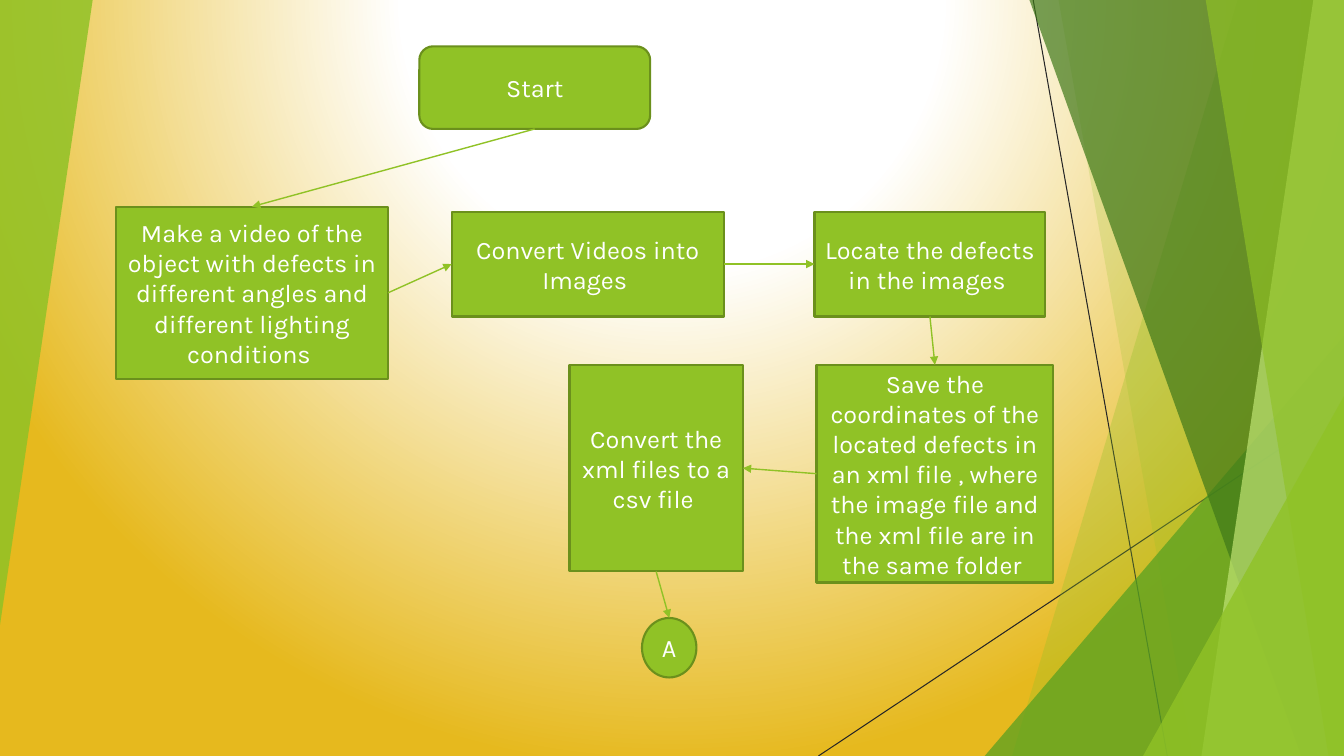
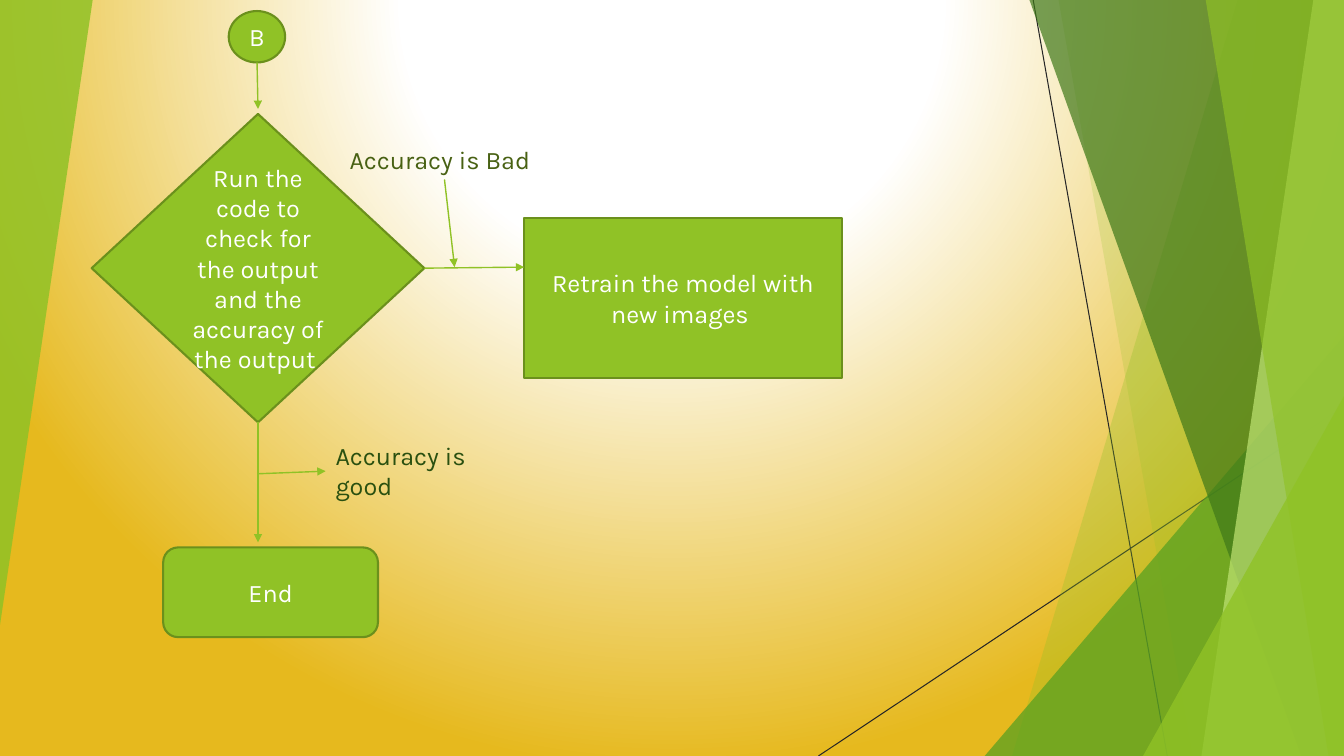
from typing import NamedTuple, Optional, Union

from lxml.etree import SubElement
from pptx import Presentation
from pptx.dml.color import RGBColor
from pptx.enum.shapes import MSO_CONNECTOR, MSO_SHAPE as Preset
from pptx.enum.text import MSO_ANCHOR, MSO_AUTO_SIZE, PP_ALIGN
from pptx.oxml import parse_xml
from pptx.oxml.ns import nsdecls, qn
from pptx.util import Pt

GREEN = RGBColor(0x90, 0xC2, 0x26)
OLIVE = RGBColor(0x6B, 0x90, 0x1C)
LEAF = RGBColor(0x54, 0xA0, 0x21)
FOREST = RGBColor(0x3F, 0x78, 0x19)
LIME = RGBColor(0xC0, 0xE4, 0x74)
INK = RGBColor(0x26, 0x26, 0x26)
GOLD = RGBColor(0xE6, 0xB9, 0x1E)
WHITE = RGBColor(0xFF, 0xFF, 0xFF)
GOOD_TEXT = RGBColor(0x2A, 0x50, 0x10)
BAD_TEXT = RGBColor(0x48, 0x61, 0x13)

FONT = "Karla"
WIDTH, HEIGHT = 960, 540
BLEED = 0.7
TOP, LEFT, BOTTOM, RIGHT = range(4)


class Band(NamedTuple):
    top_x: float
    bottom_x: float
    color: RGBColor
    opacity: int


class Wedge(NamedTuple):
    left: float
    top: float
    width: float
    height: float
    color: RGBColor
    opacity: int
    rotation: float = 0


class Point(NamedTuple):
    x: float
    y: float


class Joint(NamedTuple):
    step: str
    side: int


class Arrow(NamedTuple):
    start: Union[Point, Joint]
    end: Union[Point, Joint]


class Step(NamedTuple):
    key: str
    outline: Optional[Preset]
    left: float
    top: float
    width: float
    height: float
    text: str
    color: RGBColor = WHITE


class Flow(NamedTuple):
    steps: list
    arrows: list


RAYS = [
    (Point(738, 0), Point(833.8, HEIGHT)),
    (Point(WIDTH, 290.2), Point(584.6, HEIGHT)),
]
FACETS = [
    Band(884.2, 722.9, GREEN, 30),
    Band(756, 851.8, GREEN, 20),
    Wedge(703.4, 239.8, 256.6, 300.2, LEAF, 72),
    Band(735.1, 929.5, FOREST, 70),
    Band(938.2, 858.2, LIME, 70),
    Band(861.1, 949, GREEN, 65),
    Wedge(816.5, 283, 143.5, 257, GREEN, 80),
    Wedge(0, 0, 66.2, 446.4, GREEN, 85, 180),
]

FLOWS = [
    Flow(
        [
            Step("start", Preset.ROUNDED_RECTANGLE, 299.5, 33.1, 164.9, 59, "Start"),
            Step("video", Preset.RECTANGLE, 82.8, 147.6, 194.4, 123.1,
                 "Make a video of the object with defects in different angles "
                 "and different lighting conditions "),
            Step("images", Preset.RECTANGLE, 322.6, 151.2, 194.4, 74.9,
                 "Convert Videos into Images "),
            Step("locate", Preset.RECTANGLE, 581.8, 151.2, 164.9, 74.9,
                 "Locate the defects in the images "),
            Step("save", Preset.RECTANGLE, 583.2, 260.6, 169.2, 155.5,
                 "Save the coordinates of the located defects in an xml file , "
                 "where the image file and the xml file are in the same folder "),
            Step("csv", Preset.RECTANGLE, 406.8, 260.6, 123.8, 147.6,
                 "Convert the xml files to a csv file "),
            Step("a", Preset.OVAL, 458.6, 441.4, 38.9, 42.5, "A"),
        ],
        [
            Arrow(Joint("start", BOTTOM), Joint("video", TOP)),
            Arrow(Joint("video", RIGHT), Joint("images", LEFT)),
            Arrow(Joint("images", RIGHT), Joint("locate", LEFT)),
            Arrow(Joint("locate", BOTTOM), Joint("save", TOP)),
            Arrow(Joint("save", LEFT), Joint("csv", RIGHT)),
            Arrow(Joint("csv", BOTTOM), Joint("a", TOP)),
        ],
    ),
    Flow(
        [
            Step("b", Preset.OVAL, 163.4, 7.9, 40.3, 36.7, "B"),
            Step("check", Preset.FLOWCHART_DECISION, 65.5, 81.4, 237.6, 220.3,
                 "Run the code to check for the output and the accuracy of the output "),
            Step("retrain", Preset.RECTANGLE, 374.4, 155.5, 226.8, 114.5,
                 "Retrain the model with new images "),
            Step("end", Preset.ROUNDED_RECTANGLE, 116.6, 391, 153.4, 64.1, "End"),
            Step("good", None, 232.6, 311, 122.4, 51.1, "Accuracy is good", GOOD_TEXT),
            Step("bad", None, 242.6, 99.4, 149.8, 28.8, "Accuracy is Bad", BAD_TEXT),
        ],
        [
            Arrow(Point(183.6, 44.6), Point(184.3, 77.8)),
            Arrow(Joint("check", RIGHT), Point(374.4, 190.8)),
            Arrow(Joint("check", BOTTOM), Point(184.3, 387.4)),
            Arrow(Point(184.3, 338.4), Joint("good", LEFT)),
            Arrow(Joint("bad", BOTTOM), Point(324.7, 190.8)),
        ],
    ),
]


def set_background(master) -> None:
    master.background.fill.solid()
    properties = master.element.find(".//" + qn("p:bgPr"))
    stops = "".join(
        f'<a:gs pos="{position * 1000}"><a:srgbClr val="{color}"/></a:gs>'
        for position, color in ((0, WHITE), (35, WHITE), (100, GOLD))
    )
    gradient = parse_xml(
        f'<a:gradFill {nsdecls("a")} rotWithShape="1"><a:gsLst>{stops}</a:gsLst>'
        '<a:path path="circle"><a:fillToRect l="50000" t="-80000" r="50000" b="180000"/>'
        "</a:path></a:gradFill>"
    )
    properties.replace(properties[0], gradient)


def add_line(slide, start: Point, end: Point, color: RGBColor, weight: float):
    line = slide.shapes.add_connector(
        MSO_CONNECTOR.STRAIGHT, *(Pt(value) for value in (*start, *end))
    )
    line.line.color.rgb = color
    line.line.width = Pt(weight)
    SubElement(line.element.spPr, qn("a:effectLst"))
    return line


def add_facet(slide, facet: Union[Band, Wedge]) -> None:
    if isinstance(facet, Band):
        builder = slide.shapes.build_freeform(Pt(facet.top_x), Pt(-BLEED))
        corners = ((WIDTH, -BLEED), (WIDTH, HEIGHT), (facet.bottom_x, HEIGHT))
        builder.add_line_segments([(Pt(x), Pt(y)) for x, y in corners], close=True)
        shape = builder.convert_to_shape()
    else:
        shape = slide.shapes.add_shape(
            Preset.ISOSCELES_TRIANGLE, *(Pt(value) for value in facet[:4])
        )
        shape.adjustments[0] = 1
        shape.rotation = facet.rotation
    shape.shadow.inherit = False
    shape.fill.solid()
    shape.fill.fore_color.rgb = facet.color
    shape.line.fill.background()
    fill_color = shape.element.spPr.find(f"{qn('a:solidFill')}/{qn('a:srgbClr')}")
    SubElement(fill_color, qn("a:alpha"), val=str(facet.opacity * 1000))


def add_step(slide, step: Step):
    place = [Pt(value) for value in (step.left, step.top, step.width, step.height)]
    if step.outline is None:
        shape = slide.shapes.add_textbox(*place)
        shape.text_frame.auto_size = MSO_AUTO_SIZE.SHAPE_TO_FIT_TEXT
    else:
        shape = slide.shapes.add_shape(step.outline, *place)
        shape.shadow.inherit = False
        shape.fill.solid()
        shape.fill.fore_color.rgb = GREEN
        shape.line.color.rgb = OLIVE
        shape.line.width = Pt(1.5)
        shape.text_frame.vertical_anchor = MSO_ANCHOR.MIDDLE
        shape.text_frame.paragraphs[0].alignment = PP_ALIGN.CENTER
    shape.text_frame.word_wrap = True
    run = shape.text_frame.paragraphs[0].add_run()
    run.text = step.text
    run.font.name = FONT
    run.font.size = Pt(18)
    run.font.color.rgb = step.color
    return shape


def add_arrow(slide, arrow: Arrow, drawn: dict) -> None:
    start, end = (
        Point(0, 0) if isinstance(place, Joint) else place for place in arrow
    )
    line = add_line(slide, start, end, GREEN, 1)
    for place, connect in zip(arrow, (line.begin_connect, line.end_connect)):
        if isinstance(place, Joint):
            connect(drawn[place.step], place.side)
    SubElement(line.element.spPr.find(qn("a:ln")), qn("a:tailEnd"), type="triangle")


def main() -> None:
    deck = Presentation()
    deck.slide_width, deck.slide_height = Pt(WIDTH), Pt(HEIGHT)
    set_background(deck.slide_master)
    blank = deck.slide_layouts.get_by_name("Blank")
    for flow in FLOWS:
        slide = deck.slides.add_slide(blank)
        for start, end in RAYS:
            add_line(slide, start, end, INK, 0.75)
        for facet in FACETS:
            add_facet(slide, facet)
        drawn = {step.key: add_step(slide, step) for step in flow.steps}
        for arrow in flow.arrows:
            add_arrow(slide, arrow, drawn)
    deck.save("out.pptx")


if __name__ == "__main__":
    main()
